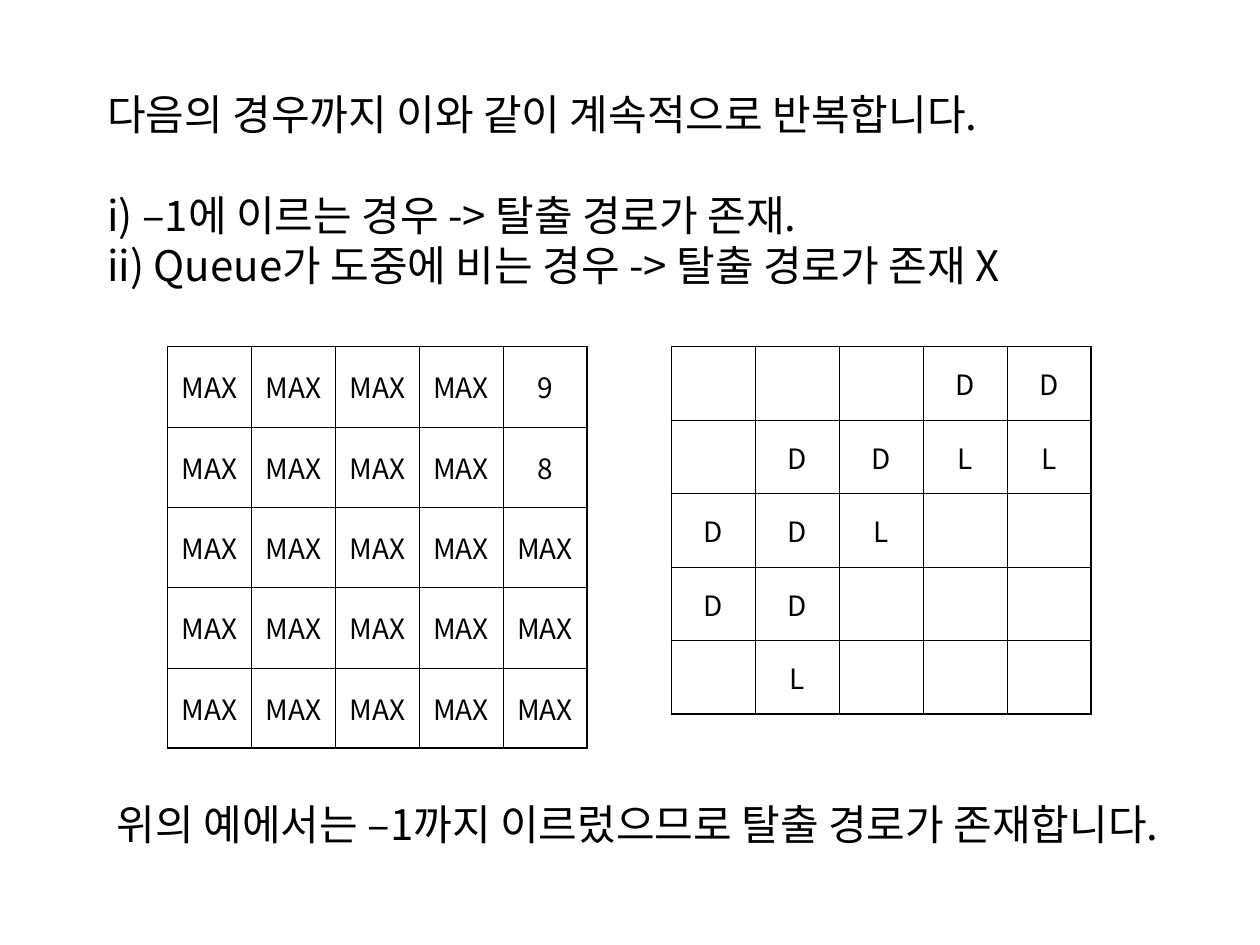
from dataclasses import dataclass

from lxml.etree import SubElement
from pptx import Presentation
from pptx.dml.color import RGBColor
from pptx.enum.text import MSO_ANCHOR as Anchor, MSO_AUTO_SIZE as AutoSize, PP_ALIGN as Align
from pptx.oxml.ns import qn
from pptx.util import Inches, Pt


@dataclass(frozen=True)
class Theme:
    font: str = "Noto Sans CJK KR"
    ink: RGBColor = RGBColor(0, 0, 0)
    body_size: Pt = Pt(24)
    cell_size: Pt = Pt(16)
    section_gap: Pt = Pt(29)
    cell_gap: Pt = Pt(4)
    outer_line: Pt = Pt(1.08)
    inner_line: Pt = Pt(0.45)


THEME = Theme()
FRAME_FORMAT = {
    "word_wrap": True,
    "auto_size": AutoSize.NONE,
    "vertical_anchor": Anchor.MIDDLE,
    "margin_left": Inches(0.1),
    "margin_right": Inches(0.1),
    "margin_top": Inches(0.05),
    "margin_bottom": Inches(0.05),
}

TITLE_LINES = [
    "다음의 경우까지 이와 같이 계속적으로 반복합니다.",
    "i) –1에 이르는 경우 -> 탈출 경로가 존재.",
    "ii) Queue가 도중에 비는 경우 -> 탈출 경로가 존재 X",
]
CONCLUSION = "위의 예에서는 –1까지 이르렀으므로 탈출 경로가 존재합니다."
DISTANCES = [["MAX"] * 4 + [last] for last in ("9", "8", "MAX", "MAX", "MAX")]
DIRECTIONS = ["   DD", " DDLL", "DDL  ", "DD   ", " L   "]


def apply_format(target, values):
    for name, value in values.items():
        setattr(target, name, value)


def write_paragraph(paragraph, text, size, **paragraph_format):
    apply_format(paragraph, paragraph_format)
    run = paragraph.add_run()
    run.text = text
    apply_format(run.font, {"name": THEME.font, "size": size, "bold": False})
    run.font.color.rgb = THEME.ink
    SubElement(run.font._element, qn("a:ea"), typeface=THEME.font)


def add_title(slide, box):
    title = slide.shapes.title
    apply_format(title, dict(zip(("left", "top", "width", "height"), box)))
    frame = title.text_frame
    apply_format(frame, FRAME_FORMAT)
    for index, line in enumerate(TITLE_LINES):
        paragraph = frame.add_paragraph() if index else frame.paragraphs[0]
        gap = THEME.section_gap if index == 1 else Pt(0)
        write_paragraph(paragraph, line, THEME.body_size,
                        alignment=Align.LEFT, space_before=gap)


def add_conclusion(slide, box):
    frame = slide.shapes.add_textbox(*box).text_frame
    apply_format(frame, FRAME_FORMAT)
    write_paragraph(frame.paragraphs[0], CONCLUSION, THEME.body_size, alignment=Align.LEFT)


def draw_borders(cell, outer_edges):
    """Draw all four sides, heavier where the side is on the grid's outline."""
    properties = cell._tc.get_or_add_tcPr()
    for side, is_outer in outer_edges.items():
        width = THEME.outer_line if is_outer else THEME.inner_line
        line = SubElement(properties, qn(f"a:ln{side}"), w=str(int(width)))
        fill = SubElement(line, qn("a:solidFill"))
        SubElement(fill, qn("a:srgbClr"), val=str(THEME.ink))


def add_grid(slide, box, rows):
    left, top, width, height = box
    row_count, column_count = len(rows), len(rows[0])
    table = slide.shapes.add_table(row_count, column_count, left, top, width, height).table
    apply_format(table, {"first_row": False, "horz_banding": False})
    for row_index, values in enumerate(rows):
        for column_index, value in enumerate(values):
            cell = table.cell(row_index, column_index)
            cell.vertical_anchor = Anchor.MIDDLE
            draw_borders(cell, {
                "L": column_index == 0,
                "R": column_index == column_count - 1,
                "T": row_index == 0,
                "B": row_index == row_count - 1,
            })
            cell.fill.background()
            if value.strip():
                write_paragraph(cell.text_frame.paragraphs[0], value, THEME.cell_size,
                                alignment=Align.CENTER, space_before=THEME.cell_gap)


def inch_box(*lengths):
    return tuple(Inches(length) for length in lengths)


def main():
    presentation = Presentation()
    presentation.slide_width, presentation.slide_height = Inches(10), Inches(7.5)
    slide = presentation.slides.add_slide(presentation.slide_layouts[5])
    add_title(slide, inch_box(0.75, 0.75, 8.58, 1.5))
    add_grid(slide, inch_box(1.33, 2.75, 3.33, 3.19), DISTANCES)
    add_grid(slide, inch_box(5.33, 2.75, 3.33, 2.92), DIRECTIONS)
    add_conclusion(slide, inch_box(0.83, 6.08, 8.58, 0.92))
    presentation.save("out.pptx")


if __name__ == "__main__":
    main()
